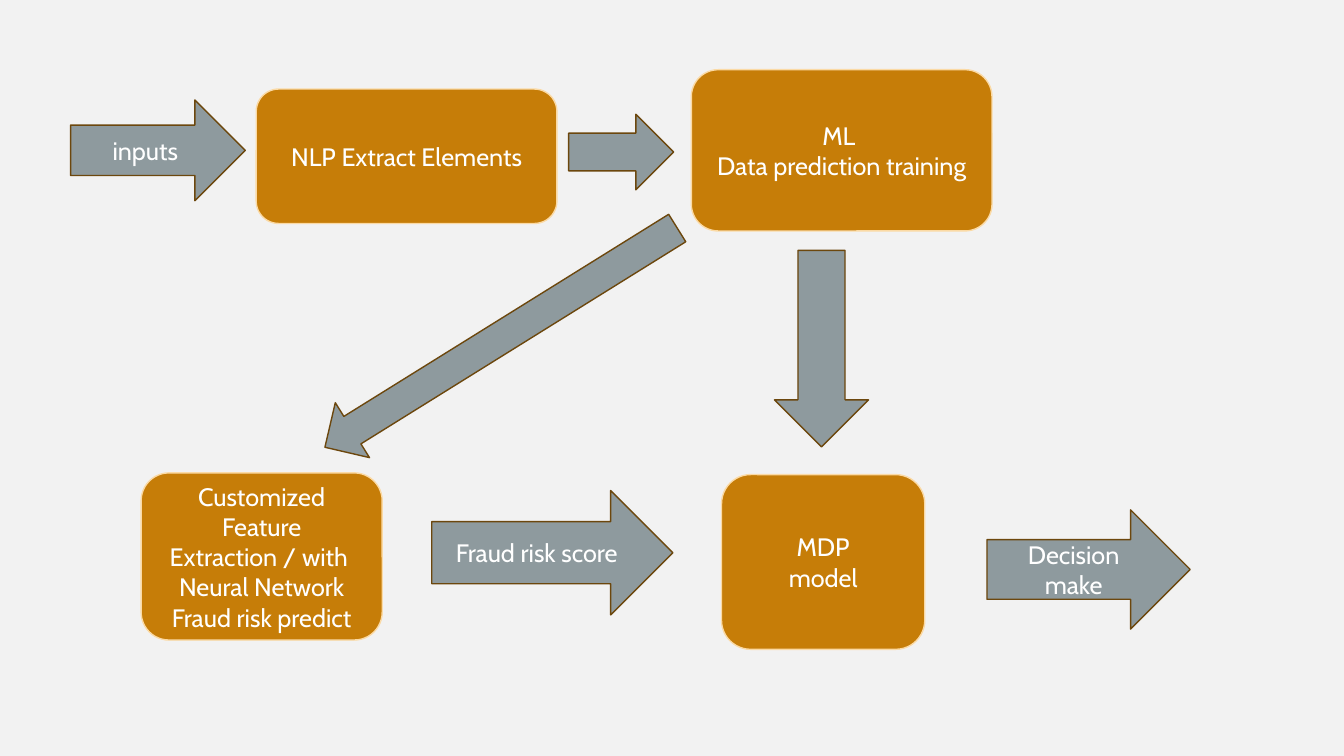
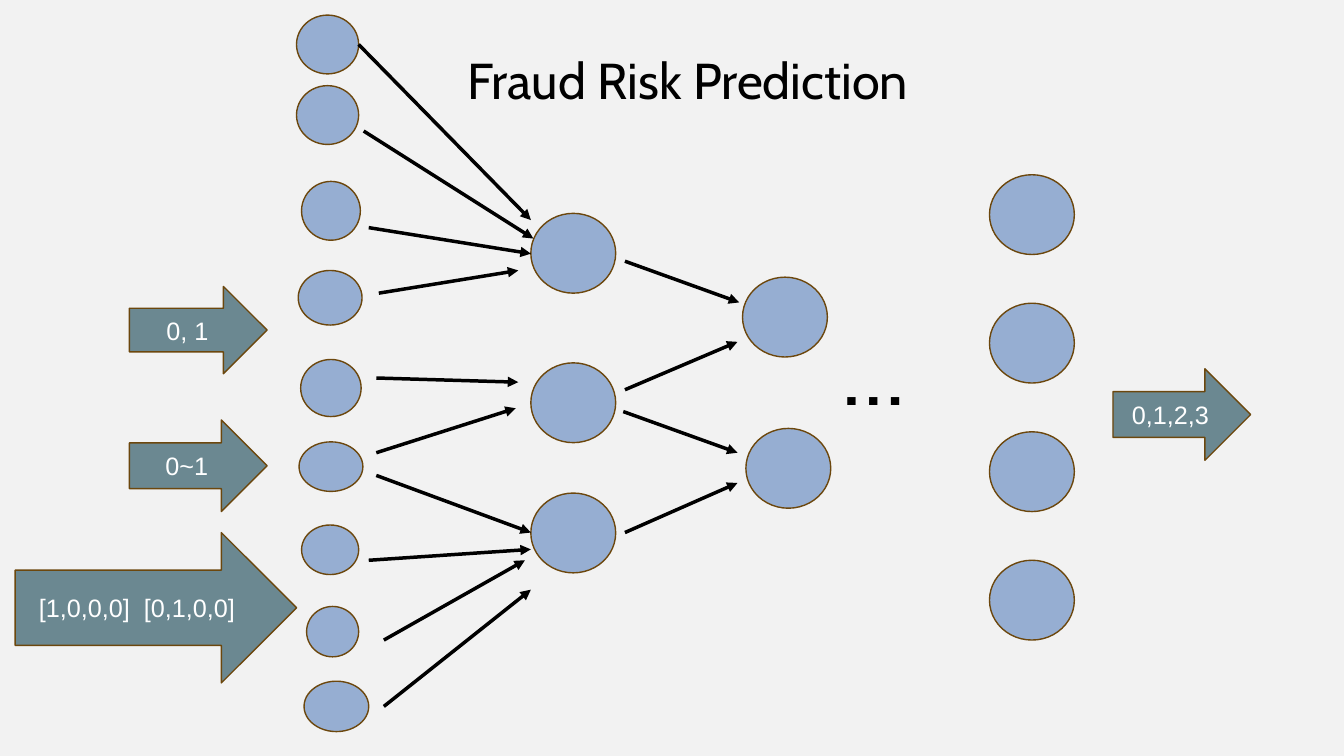
"""Build two slides: a fraud detection workflow and its neural network."""
from dataclasses import dataclass
from typing import Optional

from lxml.etree import SubElement
from pptx import Presentation
from pptx.dml.color import RGBColor
from pptx.enum.shapes import MSO_CONNECTOR as Connector, MSO_SHAPE as Shape
from pptx.enum.text import MSO_ANCHOR as Anchor, MSO_AUTO_SIZE as AutoSize, PP_ALIGN as Align
from pptx.oxml.ns import qn
from pptx.util import Emu, Inches, Pt

COLORS = {
    "background": "F2F2F2",
    "stage": "C67D08",
    "stage_edge": "FBDAA5",
    "flow": "8E9A9E",
    "signal": "6B8891",
    "neuron": "96AED2",
    "edge": "6C470D",
    "ink": "000000",
    "white": "FFFFFF",
}
FONT = "Cabin"
SIGNAL_FONT = "Arial"
COLUMNS, ROWS = 16, 9
WIDTH, HEIGHT = Inches(13.333), Inches(7.5)
TITLE_ONLY, BLANK = 5, 6


@dataclass(frozen=True)
class Box:
    left: float
    top: float
    width: float
    height: float


@dataclass(frozen=True)
class Node:
    box: Box
    label: str = ""
    kind: Shape = Shape.RIGHT_ARROW
    fill: str = "flow"
    edge: str = "edge"
    font: str = FONT
    rotation: float = 0


@dataclass(frozen=True)
class Link:
    x1: float
    y1: float
    x2: float
    y2: float


def stage(box: Box, label: str) -> Node:
    return Node(box, label, Shape.ROUNDED_RECTANGLE, "stage", "stage_edge")


def signal(box: Box, label: str) -> Node:
    return Node(box, label, fill="signal", font=SIGNAL_FONT)


def neuron(box: Box) -> Node:
    return Node(box, kind=Shape.OVAL, fill="neuron")


def neuron_layer(left: float, tops: list[float]) -> list[Node]:
    return [neuron(Box(left, top, 1.01, 0.95)) for top in tops]


WORKFLOW = [
    stage(Box(3.05, 1.06, 3.58, 1.6), "NLP Extract Elements"),
    stage(Box(8.23, 0.83, 3.58, 1.92), "ML \nData prediction training"),
    stage(Box(1.68, 5.63, 2.87, 1.99),
          "Customized Feature Extraction / with \nNeural Network\nFraud risk predict"),
    stage(Box(8.59, 5.65, 2.42, 2.08), "MDP\nmodel"),
    Node(Box(0.84, 1.19, 2.08, 1.2), "inputs"),
    Node(Box(6.77, 1.36, 1.25, 0.9)),
    Node(Box(5.14, 5.84, 2.87, 1.48), "Fraud risk score"),
    Node(Box(11.75, 6.07, 2.42, 1.42), "Decision make"),
    Node(Box(9.22, 2.98, 1.12, 2.34), kind=Shape.DOWN_ARROW),
    Node(Box(5.58, 1.55, 0.77, 4.94), kind=Shape.DOWN_ARROW, rotation=58.1),
]

INPUT_LAYER = [neuron(box) for box in (
    Box(3.53, 0.18, 0.74, 0.7),
    Box(3.53, 1.02, 0.74, 0.7),
    Box(3.59, 2.16, 0.7, 0.7),
    Box(3.55, 3.22, 0.76, 0.65),
    Box(3.58, 4.28, 0.72, 0.68),
    Box(3.56, 5.26, 0.76, 0.59),
    Box(3.59, 6.25, 0.68, 0.59),
    Box(3.65, 7.22, 0.62, 0.6),
    Box(3.62, 8.11, 0.77, 0.6),
)]
HIDDEN_LAYERS = (neuron_layer(6.32, [2.54, 4.32, 5.87])
                 + neuron_layer(8.84, [3.3])
                 + neuron_layer(8.88, [5.1]))
OUTPUT_LAYER = neuron_layer(11.78, [2.08 + 1.53 * step for step in range(4)])
SIGNALS = [
    signal(Box(1.54, 3.41, 1.64, 1.04), "0, 1"),
    signal(Box(1.54, 5, 1.64, 1.09), "0~1"),
    signal(Box(0.18, 6.34, 3.35, 1.79), "[1,0,0,0]  [0,1,0,0]"),
    signal(Box(13.25, 4.39, 1.64, 1.09), "0,1,2,3"),
]
LINKS = [
    Link(4.27, 0.53, 6.32, 2.62),
    Link(4.33, 1.56, 6.35, 2.84),
    Link(4.39, 2.71, 6.32, 3.02),
    Link(4.51, 3.49, 6.17, 3.22),
    Link(4.48, 4.5, 6.17, 4.55),
    Link(4.48, 5.39, 6.14, 4.86),
    Link(4.48, 5.66, 6.32, 6.34),
    Link(4.39, 6.67, 6.32, 6.54),
    Link(4.57, 7.62, 6.25, 6.67),
    Link(4.57, 8.41, 6.32, 7.02),
    Link(7.44, 3.11, 8.8, 3.6),
    Link(7.44, 4.64, 8.78, 4.07),
    Link(7.42, 4.9, 8.78, 5.39),
    Link(7.44, 6.34, 8.78, 5.75),
]


def col(count: float) -> Emu:
    return Emu(round(WIDTH * count / COLUMNS))


def row(count: float) -> Emu:
    return Emu(round(HEIGHT * count / ROWS))


def place(box: Box) -> tuple[Emu, Emu, Emu, Emu]:
    return col(box.left), row(box.top), col(box.width), row(box.height)


def color(name: str) -> RGBColor:
    return RGBColor.from_string(COLORS[name])


def write(frame, text: str, *, size: float = 18, font: str = FONT, ink: str = "white",
          align: Align = Align.CENTER, anchor: Anchor = Anchor.MIDDLE,
          wrap: bool = True, fit: Optional[AutoSize] = None) -> None:
    frame.text = text
    frame.word_wrap = wrap
    frame.vertical_anchor = anchor
    if fit is not None:
        frame.auto_size = fit
    for paragraph in frame.paragraphs:
        paragraph.alignment = align
        for run in paragraph.runs:
            run.font.size = Pt(size)
            run.font.name = font
            run.font.color.rgb = color(ink)


def draw_node(slide, node: Node) -> None:
    body = slide.shapes.add_shape(node.kind, *place(node.box))
    body.shadow.inherit = False
    body.rotation = node.rotation
    body.fill.solid()
    body.fill.fore_color.rgb = color(node.fill)
    body.line.color.rgb = color(node.edge)
    body.line.width = Pt(1)
    if node.label:
        write(body.text_frame, node.label, font=node.font)


def draw_link(slide, link: Link) -> None:
    arrow = slide.shapes.add_connector(
        Connector.STRAIGHT, col(link.x1), row(link.y1), col(link.x2), row(link.y2))
    arrow.line.color.rgb = color("ink")
    arrow.line.width = Pt(2.5)
    SubElement(arrow.line._get_or_add_ln(), qn("a:tailEnd"), type="triangle")
    SubElement(arrow._element.spPr, qn("a:effectLst"))


def build_workflow(deck) -> None:
    slide = deck.slides.add_slide(deck.slide_layouts[BLANK])
    for node in WORKFLOW:
        draw_node(slide, node)


def build_network(deck) -> None:
    slide = deck.slides.add_slide(deck.slide_layouts[TITLE_ONLY])
    title = slide.shapes.title
    title.left, title.top, title.width, title.height = place(Box(5.45, 0.53, 6.46, 0.85))
    write(title.text_frame, "Fraud Risk Prediction", size=36, ink="ink",
          align=Align.LEFT, anchor=Anchor.TOP, fit=AutoSize.SHAPE_TO_FIT_TEXT)
    for node in INPUT_LAYER + HIDDEN_LAYERS + OUTPUT_LAYER + SIGNALS:
        draw_node(slide, node)
    for link in LINKS:
        draw_link(slide, link)
    more_layers = slide.shapes.add_textbox(*place(Box(9.91, 3.67, 1.36, 1.45)))
    write(more_layers.text_frame, "…", size=66, ink="ink", align=Align.LEFT,
          anchor=Anchor.TOP, wrap=False, fit=AutoSize.SHAPE_TO_FIT_TEXT)


def main() -> None:
    deck = Presentation()
    deck.slide_width, deck.slide_height = WIDTH, HEIGHT
    backdrop = deck.slide_master.background.fill
    backdrop.solid()
    backdrop.fore_color.rgb = color("background")
    build_workflow(deck)
    build_network(deck)
    deck.save("out.pptx")


if __name__ == "__main__":
    main()
